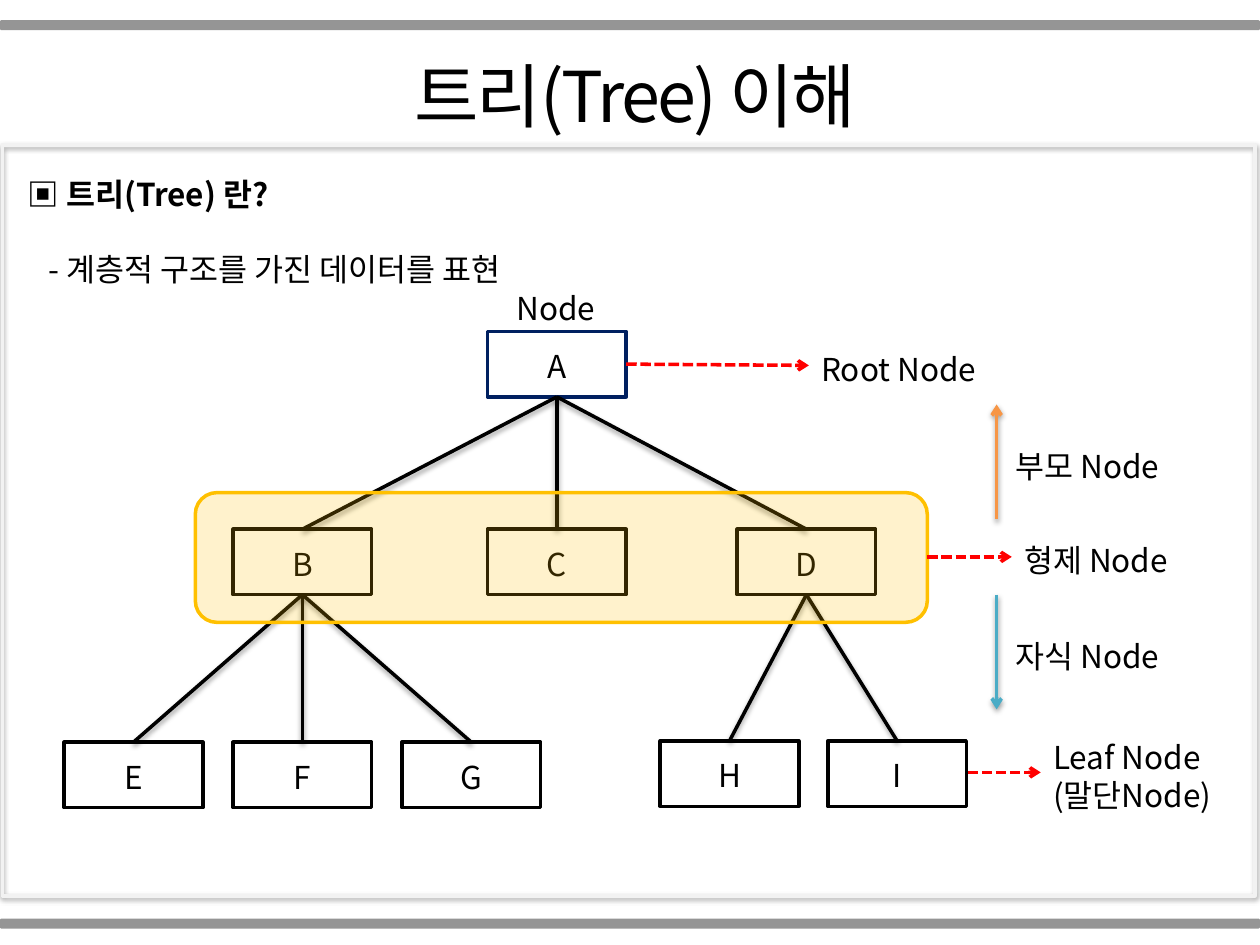
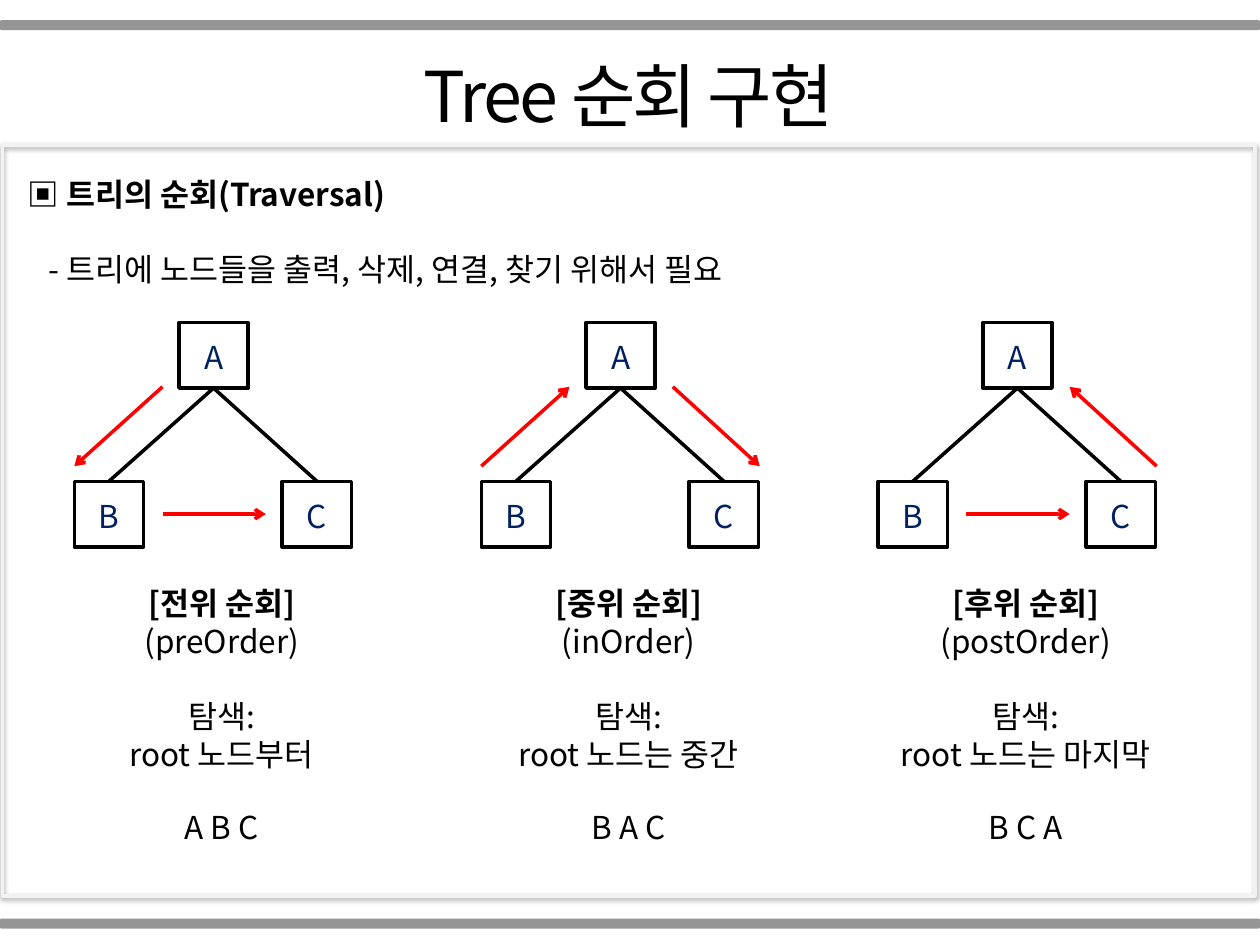
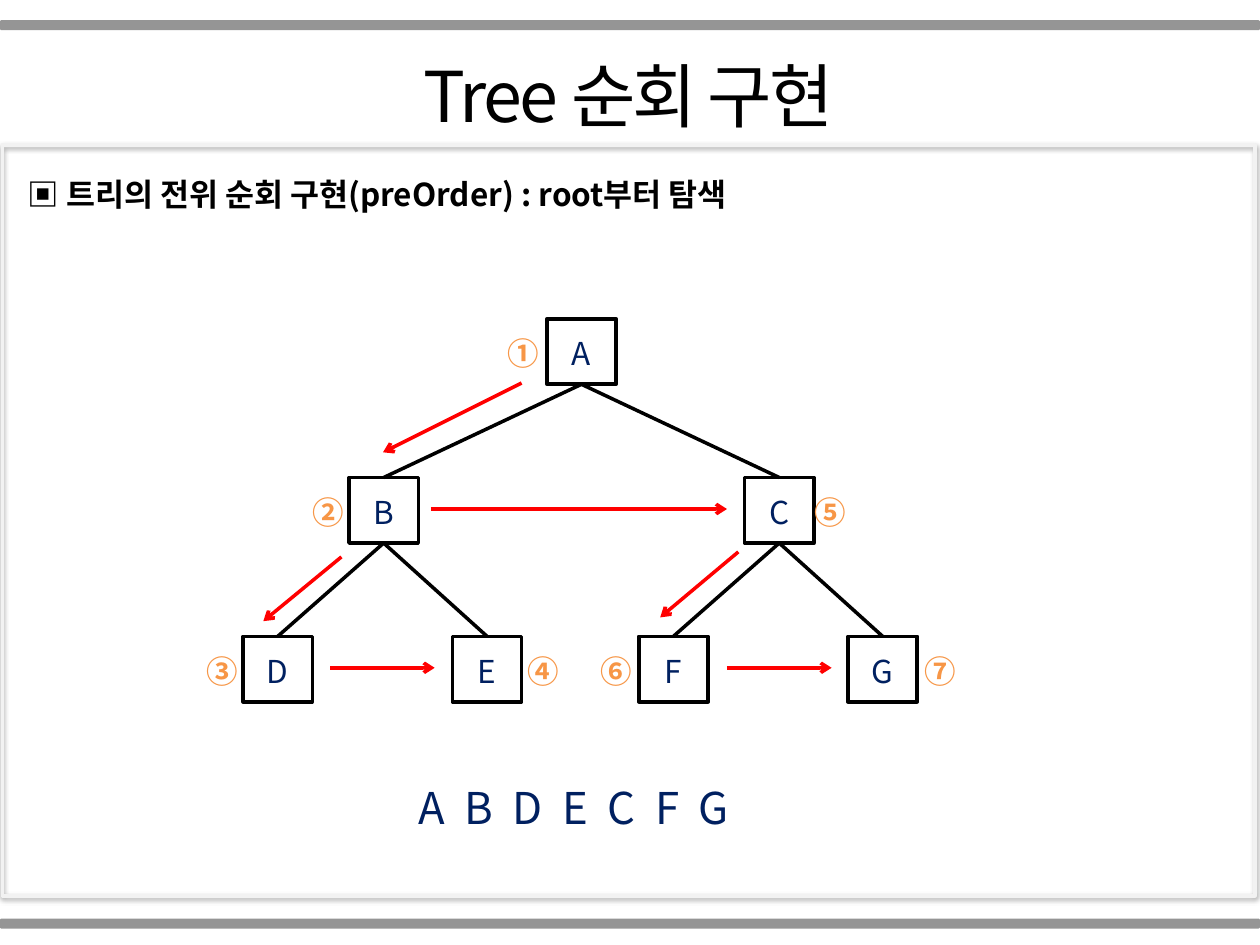
from dataclasses import dataclass

import lxml.etree
import pptx
import pptx.dml.color
import pptx.enum.dml
import pptx.enum.shapes
import pptx.enum.text
import pptx.oxml.ns
import pptx.util

Inches = pptx.util.Inches
Pt = pptx.util.Pt
Shape = pptx.enum.shapes.MSO_SHAPE
Align = pptx.enum.text.PP_ALIGN
Anchor = pptx.enum.text.MSO_ANCHOR
qn = pptx.oxml.ns.qn


@dataclass(frozen=True)
class Theme:
    font: str = "Noto Sans CJK KR"
    ink: str = "000000"
    paper: str = "FFFFFF"
    navy: str = "002060"
    red: str = "FF0000"
    orange: str = "F79646"
    teal: str = "4BACC6"
    gold: str = "FFC000"
    frame: str = "F2F2F2"
    band: str = "808080"
    title: int = 40
    sequence: int = 25
    body: int = 18
    stroke: int = 2
    leading: float = 1.2


def rgb(value):
    return pptx.dml.color.RGBColor.from_string(value)


def add_element(parent, tag, **attributes):
    return lxml.etree.SubElement(parent, qn(tag), attributes)


class TreeDeck:
    def __init__(self, theme):
        self.theme = theme
        self.deck = pptx.Presentation()
        self.deck.slide_width = Inches(10)
        self.deck.slide_height = Inches(7.5)
        self.page = None

    def start_page(self, title, heading, detail=None):
        self.page = self.deck.slides.add_slide(self.deck.slide_layouts[5])
        frame = self.shape(Shape.RECTANGLE, 0.02, 1.15, 9.94, 5.96, line=self.theme.frame)
        self.shadow(frame)
        box = self.page.shapes.title
        box.left, box.top = Inches(0.02), Inches(0.31)
        box.width, box.height = Inches(9.94), Inches(0.77)
        self.set_text(box, [title], self.theme.title, align=Align.CENTER, tracking=-1.5)
        for top in (0.16, 7.29):
            self.shape(Shape.ROUNDED_RECTANGLE, 0, top, 10, 0.08, fill=self.theme.band, opacity=83)
        lines = [heading, detail] if detail else [heading]
        box = self.label(lines, 0.12, 1.31, 9.88, 1.01, bold_first=True, gap_before=1)
        if detail:
            box.text_frame.paragraphs[1]._p.get_or_add_pPr().set("marL", str(Inches(0.17)))

    def set_text(self, box, lines, size, color=None, align=Align.LEFT, anchor=Anchor.TOP,
                 bold_first=False, gap_before=None, tracking=0):
        frame = box.text_frame
        frame.word_wrap = True
        frame.auto_size = pptx.enum.text.MSO_AUTO_SIZE.NONE
        frame.vertical_anchor = anchor
        frame.margin_left = frame.margin_right = Inches(0.1)
        frame.margin_top = Inches(0.05 + 0.0014 * size)
        frame.margin_bottom = Inches(0.05)
        for index, line in enumerate(lines):
            para = frame.paragraphs[0] if index == 0 else frame.add_paragraph()
            para.text = line
            para.alignment = align
            para.line_spacing = Pt(size * self.theme.leading)
            para.space_before = Pt(size * self.theme.leading if index == gap_before else 0)
            font = para.font
            font.size = Pt(size)
            font.bold = bold_first and index == 0
            font.color.rgb = rgb(color or self.theme.ink)
            font.name = self.theme.font
            properties = para._p.pPr.find(qn("a:defRPr"))
            add_element(properties, "a:ea", typeface=self.theme.font)
            if tracking:
                properties.set("spc", str(int(tracking * 100)))

    def label(self, lines, left, top, width=1.6, height=0.4, size=None, **style):
        box = self.page.shapes.add_textbox(Inches(left), Inches(top), Inches(width), Inches(height))
        self.set_text(box, lines, size or self.theme.body, **style)
        return box

    def shape(self, kind, left, top, width, height, fill=None, line=None, opacity=100):
        shape = self.page.shapes.add_shape(
            kind, Inches(left), Inches(top), Inches(width), Inches(height))
        shape.shadow.inherit = False
        if fill:
            shape.fill.solid()
            shape.fill.fore_color.rgb = rgb(fill)
            if opacity < 100:
                color = shape._element.spPr.find(qn("a:solidFill"))[0]
                add_element(color, "a:alpha", val=str(opacity * 1000))
        else:
            shape.fill.background()
        if line:
            shape.line.color.rgb = rgb(line)
            shape.line.width = Pt(self.theme.stroke)
        else:
            shape.line.fill.background()
        return shape

    def node(self, name, left, top, width=0.55, color=None, line=None, fill=None):
        node = self.shape(Shape.RECTANGLE, left, top, width, 0.52, fill, line or self.theme.ink)
        self.set_text(node, [name], self.theme.body, color or self.theme.navy,
                      Align.CENTER, Anchor.MIDDLE)
        return node

    def nodes(self, places, **style):
        return {name: self.node(name, left, top, fill=self.theme.paper, **style)
                for name, (left, top) in places.items()}

    def shadow(self, item):
        properties = item._element.spPr
        effects = properties.find(qn("a:effectLst"))
        outer = add_element(effects, "a:outerShdw", blurRad=str(Pt(3.1)), dist=str(Pt(1.6)),
                            dir="5400000", rotWithShape="0")
        color = add_element(outer, "a:srgbClr", val=self.theme.ink)
        add_element(color, "a:alpha", val="38000")

    def line(self, start, end, color, shadow=False):
        line = self.page.shapes.add_connector(
            pptx.enum.shapes.MSO_CONNECTOR.STRAIGHT, *map(Inches, start + end))
        line.line.color.rgb = rgb(color)
        line.line.width = Pt(self.theme.stroke)
        add_element(line._element.spPr, "a:effectLst")
        if shadow:
            self.shadow(line)
        return line

    def arrow(self, start, end, color=None, dashed=False, shadow=False):
        arrow = self.line(start, end, color or self.theme.red, shadow)
        if dashed:
            arrow.line.dash_style = pptx.enum.dml.MSO_LINE.SQUARE_DOT
        add_element(arrow._element.spPr.find(qn("a:ln")), "a:tailEnd", type="arrow")

    def branches(self, nodes, children, shadow=False):
        for parent, names in children.items():
            for name in names:
                line = self.line((0, 0), (1, 1), self.theme.ink, shadow)
                line.begin_connect(nodes[parent], 2)
                line.end_connect(nodes[name], 0)


def build_tree_page(tree):
    theme = tree.theme
    tree.start_page(" 트리(Tree) 이해", "▣ 트리(Tree) 란?", "- 계층적 구조를 가진 데이터를 표현")
    nodes = {"A": tree.node("A", 3.87, 2.63, 1.1, theme.ink, theme.navy)}
    nodes.update(tree.nodes({
        "B": (1.85, 4.2), "C": (3.87, 4.2), "D": (5.85, 4.2),
        "E": (0.51, 5.89), "F": (1.85, 5.89), "G": (3.19, 5.89),
        "H": (5.24, 5.88), "I": (6.57, 5.88),
    }, width=1.1, color=theme.ink))
    tree.branches(nodes, {"A": "BCD", "B": "EFG", "D": "HI"}, shadow=True)
    tree.shape(Shape.ROUNDED_RECTANGLE, 1.55, 3.91, 5.81, 1.03, theme.gold, theme.gold, 20)
    for start, end in (((4.97, 2.89), (6.42, 2.9)),
                       ((7.68, 6.13), (8.26, 6.13)),
                       ((7.36, 4.42), (8.03, 4.42))):
        tree.arrow(start, end, dashed=True)
    tree.arrow((7.91, 4.12), (7.91, 3.21), theme.orange, shadow=True)
    tree.arrow((7.91, 4.72), (7.91, 5.63), theme.teal, shadow=True)
    for text, left, top in (("Node", 4, 2.22), ("Root Node", 6.42, 2.7),
                            ("부모 Node", 7.96, 3.47), ("형제 Node", 8.03, 4.22),
                            ("자식 Node", 7.96, 4.98)):
        tree.label([text], left, top)
    tree.label(["Leaf Node", "(말단Node)"], 8.26, 5.78, 1.49, 1.01)


def build_traversal_page(tree):
    tree.start_page("Tree 순회 구현", "▣ 트리의 순회(Traversal)",
                    "- 트리에 노드들을 출력, 삭제, 연결, 찾기 위해서 필요")
    left_up, left_down = (0.7, 3.07), (0, 3.7)
    right_up, right_down = (1.52, 3.07), (2.21, 3.7)
    across = (0.7, 4.08), (1.52, 4.08)
    orders = (
        (0.59, "전위", "preOrder", "부터", "A B C", ((left_up, left_down), across)),
        (3.82, "중위", "inOrder", "는 중간", "B A C",
         ((left_down, left_up), (right_up, right_down))),
        (6.97, "후위", "postOrder", "는 마지막", "B C A", (across, (right_down, right_up))),
    )
    for left, name, method, position, sequence, steps in orders:
        nodes = tree.nodes({"A": (left + 0.83, 2.56), "B": (left, 3.82), "C": (left + 1.65, 3.82)})
        tree.branches(nodes, {"A": "BC"})
        for start, end in steps:
            tree.arrow((left + start[0], start[1]), (left + end[0], end[1]))
        caption = [f"[{name} 순회]", f"({method})", "탐색:", f"root 노드{position}"]
        tree.label(caption, left - 0.13, 4.56, 2.6, 1.62,
                   align=Align.CENTER, bold_first=True, gap_before=2)
        tree.label([sequence], left + 0.67, 6.34, 1, align=Align.CENTER)


def build_preorder_page(tree):
    theme = tree.theme
    tree.start_page("Tree 순회 구현", "▣ 트리의 전위 순회 구현(preOrder) : root부터 탐색")
    places = {
        "A": (4.34, 2.53), "B": (2.77, 3.79), "C": (5.91, 3.79),
        "D": (1.93, 5.05), "E": (3.59, 5.05), "F": (5.07, 5.05), "G": (6.73, 5.05),
    }
    nodes = tree.nodes(places)
    tree.branches(nodes, {"A": "BC", "B": "DE", "C": "FG"})
    for start, end in (((4.14, 3.04), (3.04, 3.59)),
                       ((2.71, 4.42), (2.09, 4.93)),
                       ((2.62, 5.3), (3.45, 5.3)),
                       ((3.42, 4.04), (5.77, 4.04)),
                       ((5.86, 4.38), (5.24, 4.9)),
                       ((5.77, 5.3), (6.6, 5.3))):
        tree.arrow(start, end)
    offsets = {"A": -0.41, "B": -0.39, "D": -0.39, "E": 0.5, "C": 0.46, "F": -0.4, "G": 0.51}
    for number, (name, offset) in zip("①②③④⑤⑥⑦", offsets.items()):
        left, top = places[name]
        tree.label([number], left + offset, top + 0.05, 0.5, color=theme.orange, bold_first=True)
    tree.label([" ".join(offsets)], 2.96, 6.11, 3.19, 0.52, theme.sequence,
               color=theme.navy, align=Align.CENTER, tracking=2.8)


tree = TreeDeck(Theme())
build_tree_page(tree)
build_traversal_page(tree)
build_preorder_page(tree)
tree.deck.save("out.pptx")
